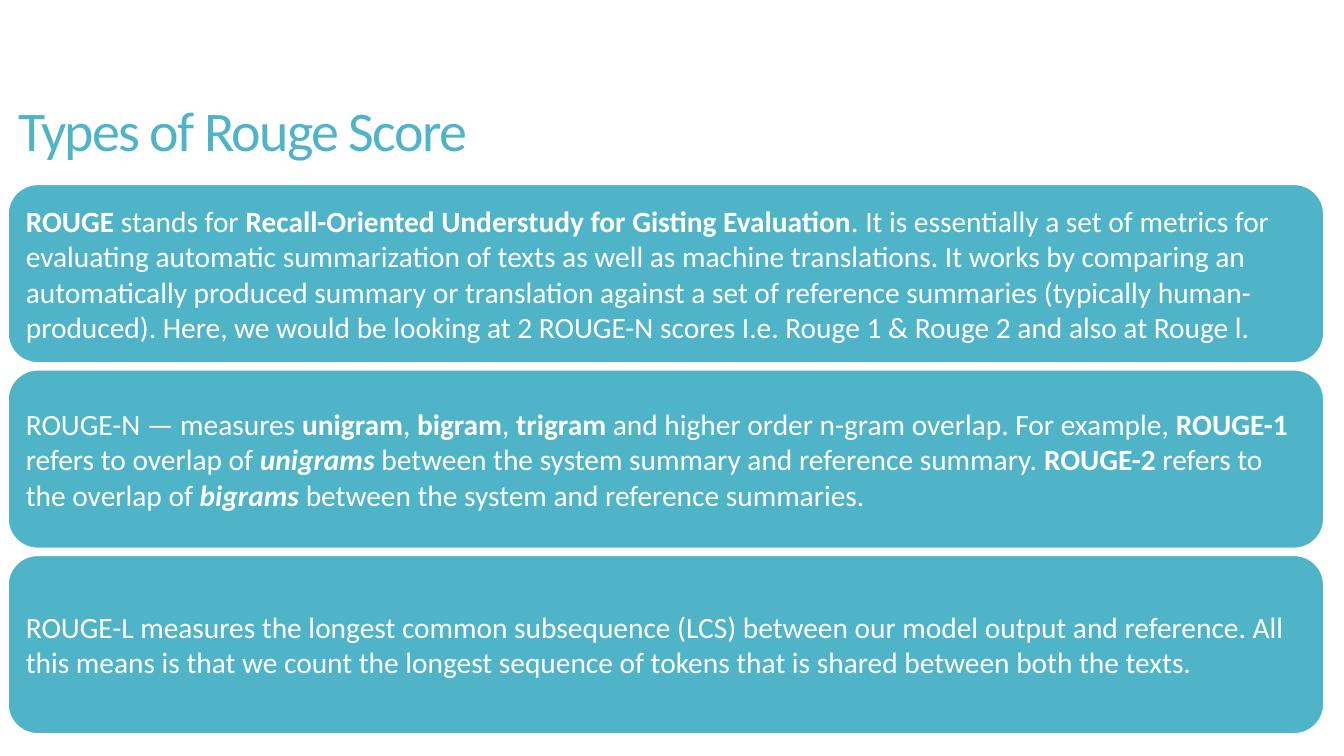
from pptx import Presentation
from pptx.dml.color import RGBColor
from pptx.enum.shapes import MSO_SHAPE
from pptx.enum.text import MSO_ANCHOR, MSO_AUTO_SIZE, PP_ALIGN
from pptx.util import Inches, Pt

ROUNDED = MSO_SHAPE.ROUNDED_RECTANGLE
MIDDLE = MSO_ANCHOR.MIDDLE
NO_AUTOFIT = MSO_AUTO_SIZE.NONE
LEFT = PP_ALIGN.LEFT
TEAL = RGBColor(0x50, 0xB4, 0xC8)
WHITE = RGBColor(0xFF, 0xFF, 0xFF)
FONT = "Calibri"
TITLE_ONLY = 5

CARD_LEFT, CARD_TOP = 0.08, 1.83
CARD_WIDTH, CARD_HEIGHT = 13.05, 1.77
CARD_PITCH = 1.84

PLAIN, BOLD, BOLD_ITALIC = (False, False), (True, False), (True, True)

DEFINITIONS = [
    [
        ("ROUGE", BOLD),
        (" stands for ", PLAIN),
        ("Recall-Oriented Understudy for Gisting Evaluation", BOLD),
        (". It is essentially a set of metrics for evaluating automatic "
         "summarization of texts as well as machine translations. It works by "
         "comparing an automatically produced summary or translation against "
         "a set of reference summaries (typically human-produced). Here, we "
         "would be looking at 2 ROUGE-N scores I.e. Rouge 1 & Rouge 2 and "
         "also at Rouge l.", PLAIN),
    ],
    [
        ("ROUGE-N — measures ", PLAIN),
        ("unigram", BOLD),
        (", ", PLAIN),
        ("bigram", BOLD),
        (", ", PLAIN),
        ("trigram ", BOLD),
        ("and higher order n-gram overlap. For example, ", PLAIN),
        ("ROUGE-1", BOLD),
        (" refers to overlap of ", PLAIN),
        ("unigrams ", BOLD_ITALIC),
        ("between the system summary and reference summary. ", PLAIN),
        ("ROUGE-2", BOLD),
        (" refers to the overlap of ", PLAIN),
        ("bigrams ", BOLD_ITALIC),
        ("between the system and reference summaries.", PLAIN),
    ],
    [
        ("ROUGE-L measures the longest common subsequence (LCS) between our "
         "model output and reference. All this means is that we count the "
         "longest sequence of tokens that is shared between both the texts.",
         PLAIN),
    ],
]


def add_text(paragraph, text, size, color, style=PLAIN, tracking=None):
    run = paragraph.add_run()
    run.text = text
    font = run.font
    font.name = FONT
    font.size = Pt(size)
    font.color.rgb = color
    font.bold, font.italic = style
    if tracking is not None:
        font._element.set("spc", str(round(tracking * 100)))


def prepare_frame(frame):
    frame.word_wrap = True
    frame.auto_size = NO_AUTOFIT
    frame.vertical_anchor = MIDDLE
    paragraph = frame.paragraphs[0]
    paragraph.alignment = LEFT
    return paragraph


def set_title(slide, text):
    title = slide.shapes.title
    title.left, title.top = Inches(0.08), Inches(0.43)
    title.width, title.height = Inches(11.78), Inches(1.81)
    heading = prepare_frame(title.text_frame)
    heading.line_spacing = 0.85
    add_text(heading, text, 40, TEAL, tracking=-1.2)


def add_card(slide, top, definition):
    card = slide.shapes.add_shape(
        ROUNDED, Inches(CARD_LEFT), Inches(top),
        Inches(CARD_WIDTH), Inches(CARD_HEIGHT))
    card.shadow.inherit = False
    card.fill.solid()
    card.fill.fore_color.rgb = TEAL
    card.line.color.rgb = WHITE
    card.line.width = Pt(1)
    frame = card.text_frame
    frame.margin_left = frame.margin_right = Inches(0.09)
    frame.margin_top = frame.margin_bottom = Inches(0.09)
    paragraph = prepare_frame(frame)
    for text, style in definition:
        add_text(paragraph, text, 21, WHITE, style=style)


def main():
    deck = Presentation()
    deck.slide_width, deck.slide_height = Inches(13.33), Inches(7.5)
    slide = deck.slides.add_slide(deck.slide_layouts[TITLE_ONLY])
    set_title(slide, "Types of Rouge Score")
    for row, definition in enumerate(DEFINITIONS):
        add_card(slide, CARD_TOP + row * CARD_PITCH, definition)
    deck.save("out.pptx")


if __name__ == "__main__":
    main()
